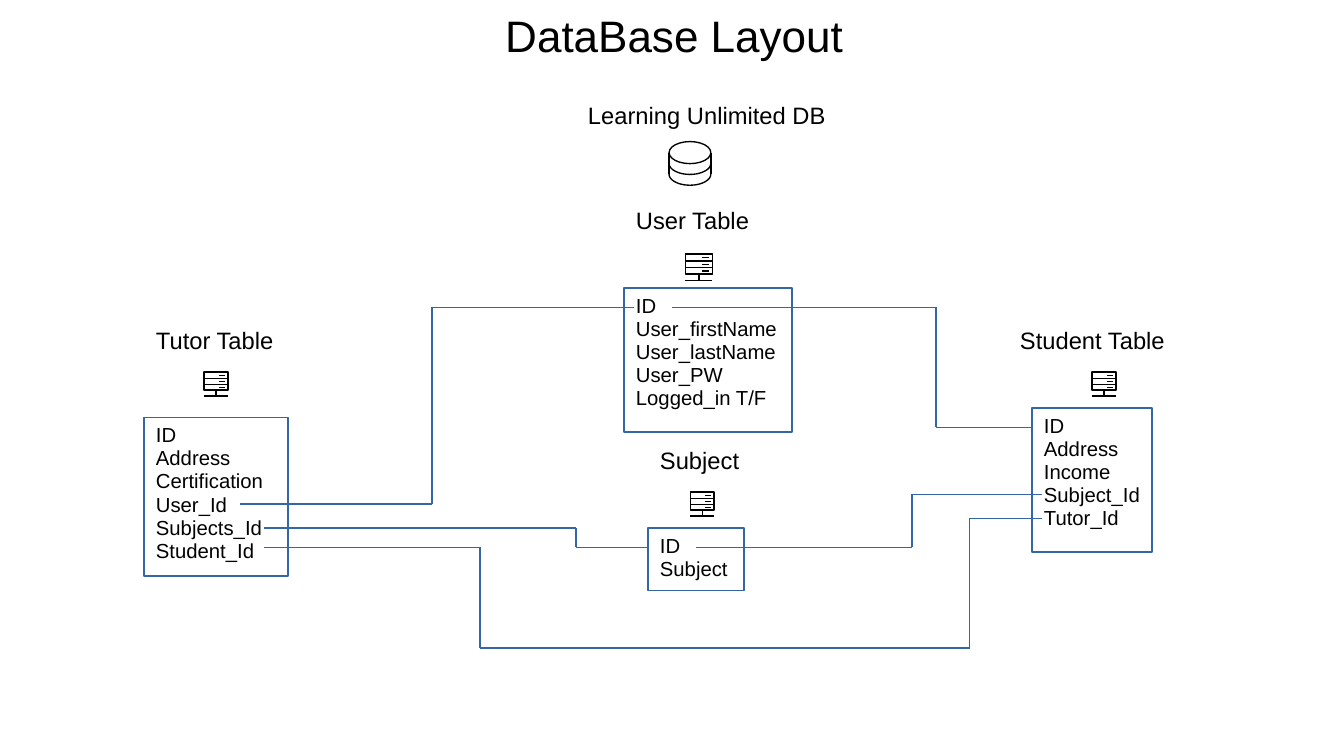
from itertools import pairwise
from math import cos, pi, sin

from lxml.etree import SubElement
from pptx import Presentation
from pptx.dml.color import RGBColor
from pptx.enum.shapes import MSO_CONNECTOR, MSO_SHAPE
from pptx.enum.text import MSO_ANCHOR, PP_ALIGN
from pptx.oxml.ns import qn
from pptx.util import Cm, Pt

BLACK = RGBColor(0x00, 0x00, 0x00)
WHITE = RGBColor(0xFF, 0xFF, 0xFF)
BLUE = RGBColor(0x34, 0x65, 0xA4)

# heading, (left, top, width) of heading, (left, top, width, height) of box,
# (left, top, size) of server icon, fields
TABLES = [
    ("User Table", (13, 4.2, 3), (13, 6, 3.5, 3), (14.28, 5.29, 0.56),
     ["ID", "User_firstName", "User_lastName", "User_PW", "Logged_in T/F"]),
    ("Tutor Table", (3, 6.7, 3), (3, 8.7, 3, 3.3), (4.25, 7.75, 0.5),
     ["ID", "Address", "Certification", "User_Id", "Subjects_Id", "Student_Id"]),
    ("Subject", (13.5, 9.2, 2.5), (13.5, 11, 2, 1.3), (14.38, 10.25, 0.5),
     ["ID", "Subject"]),
    ("Student Table", (21, 6.7, 4), (21.5, 8.5, 2.5, 3), (22.75, 7.75, 0.5),
     ["ID", "Address", "Income", "Subject_Id", "Tutor_Id"]),
]

RELATIONS = [
    [(5, 10.5), (9, 10.5), (9, 6.4), (13.2, 6.4)],
    [(5.5, 11), (12, 11), (12, 11.4), (13.5, 11.4)],
    [(14.5, 11.4), (19, 11.4), (19, 10.3), (21.7, 10.3)],
    [(5.5, 11.4), (10, 11.4), (10, 13.5), (20.2, 13.5), (20.2, 10.8), (21.7, 10.8)],
    [(14, 6.4), (19.5, 6.4), (19.5, 8.9), (21.5, 8.9)],
]


def write_text(frame, lines, size=14, align=PP_ALIGN.LEFT, anchor=MSO_ANCHOR.TOP,
               margins=(0.25, 0.15, 0, 0.12), font="Arial", color=BLACK):
    """Fill a text frame, one paragraph a line; margins run left, top, right, bottom."""
    frame.word_wrap = True
    frame.vertical_anchor = anchor
    (frame.margin_left, frame.margin_top,
     frame.margin_right, frame.margin_bottom) = map(Cm, margins)
    for index, line in enumerate(lines):
        paragraph = frame.add_paragraph() if index else frame.paragraphs[0]
        paragraph.alignment = align
        paragraph.line_spacing = 0.93
        paragraph.space_before = paragraph.space_after = Pt(0.1)
        run = paragraph.add_run()
        run.text = line
        run.font.size = Pt(size)
        run.font.name = font
        run.font.color.rgb = color


class Diagram:
    """Draws on one slide; all positions are in centimetres."""

    icon_width = 0.79
    relation_width = 0.75

    def __init__(self, slide):
        self.slide = slide

    def title(self, text):
        title = self.slide.shapes.title
        title.left, title.top, title.width, title.height = map(Cm, (1.5, 0, 25.1, 1.5))
        write_text(title.text_frame, [text], size=26, align=PP_ALIGN.CENTER,
                   anchor=MSO_ANCHOR.MIDDLE, margins=(0, 0.08, 0, 0))

    def heading(self, text, left, top, width):
        box = self.slide.shapes.add_textbox(Cm(left), Cm(top), Cm(width), Cm(0.8))
        write_text(box.text_frame, [text])

    def outline(self, shape, color=BLACK, width=icon_width):
        shape.shadow.inherit = False
        shape.fill.background()
        shape.line.color.rgb = color
        shape.line.width = Pt(width)

    def line(self, start, end, color=BLACK, width=icon_width, shapes=None):
        shapes = self.slide.shapes if shapes is None else shapes
        connector = shapes.add_connector(MSO_CONNECTOR.STRAIGHT, *map(Cm, (*start, *end)))
        connector.line.color.rgb = color
        connector.line.width = Pt(width)
        SubElement(connector.element.spPr, qn("a:effectLst"))

    def field_box(self, fields, left, top, width, height):
        box = self.slide.shapes.add_shape(
            MSO_SHAPE.RECTANGLE, Cm(left), Cm(top), Cm(width), Cm(height))
        self.outline(box, BLUE, self.relation_width)
        box.fill.solid()
        box.fill.fore_color.rgb = WHITE
        write_text(box.text_frame, fields, size=12)

    def relation(self, points):
        for start, end in pairwise(points):
            self.line(start, end, BLUE, self.relation_width)

    def server(self, left, top, size):
        shapes = self.slide.shapes.add_group_shape().shapes
        case = shapes.add_shape(
            MSO_SHAPE.RECTANGLE, Cm(left), Cm(top), Cm(size), Cm(0.75 * size))
        self.outline(case)
        shelves = [(0, y, 1, y) for y in (0.27, 0.51)]
        lights = [(0.63, y, 0.86, y) for y in (0.14, 0.39, 0.64)]
        stand = [(0, 1, 1, 1), (0.5, 0.77, 0.5, 1)]
        for x1, y1, x2, y2 in shelves + lights + stand:
            self.line((left + x1 * size, top + y1 * size),
                      (left + x2 * size, top + y2 * size), shapes=shapes)

    def database(self, left, top, width, rim_height, wall_height):
        shapes = self.slide.shapes.add_group_shape().shapes
        rim = shapes.add_shape(
            MSO_SHAPE.OVAL, Cm(left), Cm(top), Cm(width), Cm(rim_height))
        self.outline(rim)
        rim_middle = top + rim_height / 2
        for x in (left, left + width):
            self.line((x, rim_middle), (x, rim_middle + wall_height), shapes=shapes)
        for level in (rim_middle + wall_height / 2, rim_middle + wall_height):
            angles = [step * pi / 32 for step in range(33)]
            points = [(Cm(left + width / 2 * (1 - cos(angle))),
                       Cm(level + rim_height / 2 * sin(angle))) for angle in angles]
            builder = shapes.build_freeform(*points[0])
            builder.add_line_segments(points[1:], close=False)
            self.outline(builder.convert_to_shape())


def main():
    presentation = Presentation()
    presentation.slide_width, presentation.slide_height = Cm(28), Cm(15.75)
    diagram = Diagram(presentation.slides.add_slide(presentation.slide_layouts[5]))
    diagram.title("DataBase Layout")
    diagram.heading("Learning Unlimited DB", 12, 2, 5.5)
    diagram.database(13.94, 2.95, 0.87, 0.46, 0.45)
    for name, heading_place, box_place, server_place, fields in TABLES:
        diagram.heading(name, *heading_place)
        diagram.server(*server_place)
        diagram.field_box(fields, *box_place)
    for points in RELATIONS:
        diagram.relation(points)
    presentation.save("out.pptx")


if __name__ == "__main__":
    main()
